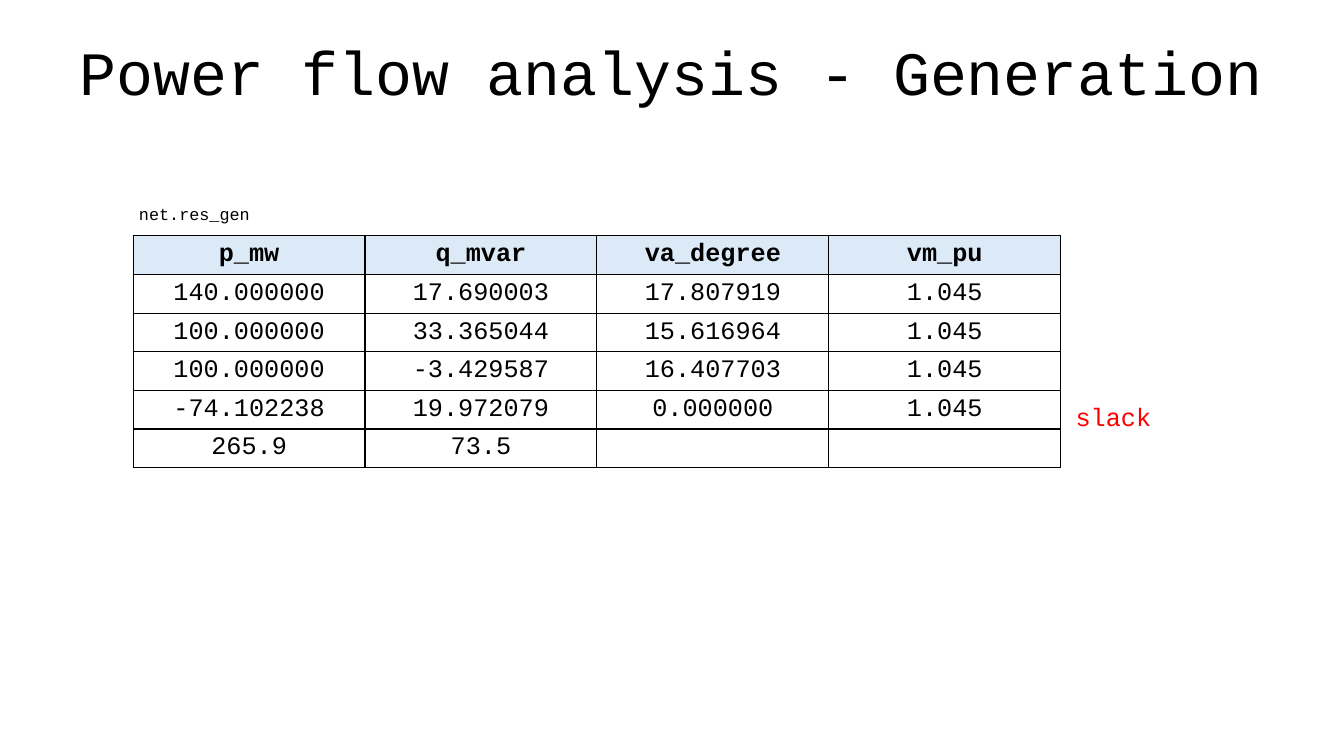
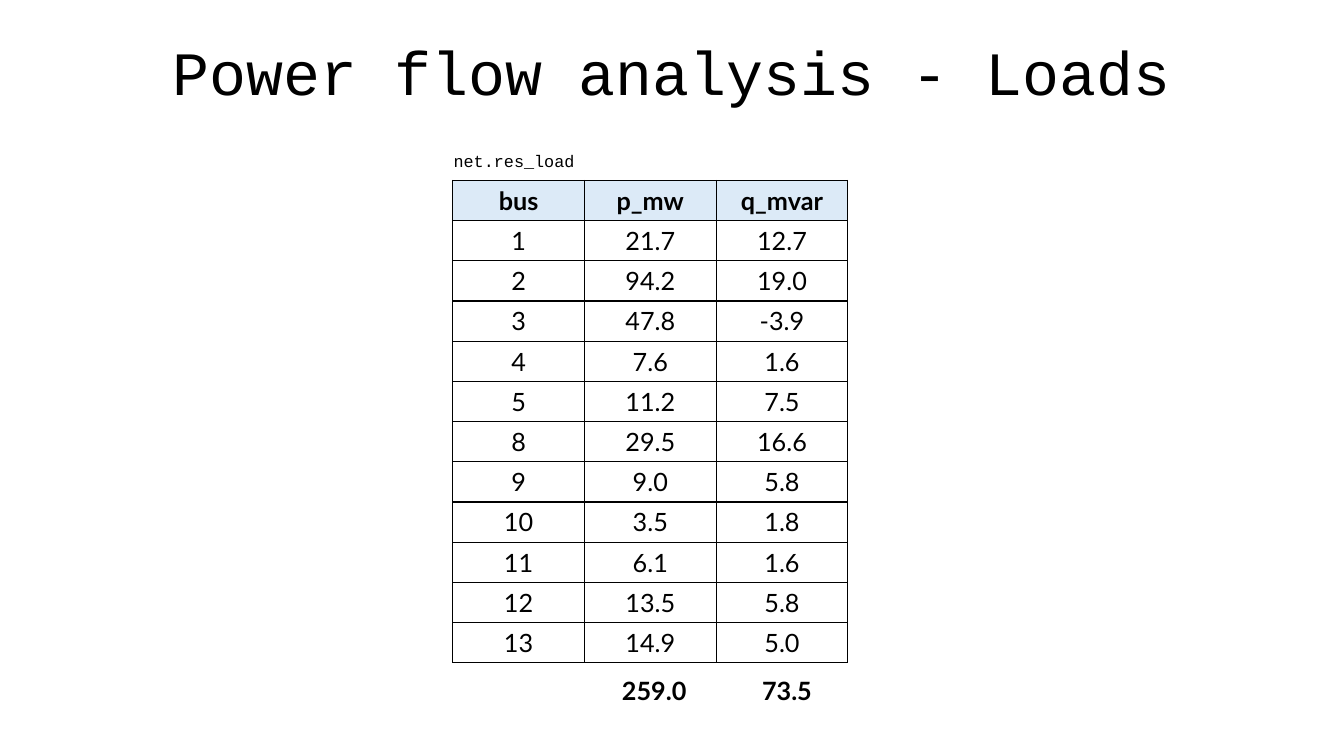
"""Builds two power flow result slides, each with a title, a table and notes."""
from lxml.etree import SubElement
from pptx import Presentation
from pptx.dml.color import RGBColor
from pptx.enum.text import MSO_ANCHOR as Anchor, MSO_AUTO_SIZE as AutoSize, PP_ALIGN as Align
from pptx.oxml.ns import qn
from pptx.util import Inches, Pt

MONO, SANS = "Courier New", "Lato"
BLACK, WHITE, RED, HEADER_BLUE = "000000", "FFFFFF", "FF0000", "DCEAF7"
TITLE_BOX = (0, 0.02, 13.33, 1.45)

SLIDES = [
    {
        "title": "Power flow analysis - Generation",
        "font": MONO,
        "table_box": (1.32, 2.34, 9.2, 2.3),
        "rows": [
            ("p_mw", "q_mvar", "va_degree", "vm_pu"),
            ("140.000000", "17.690003", "17.807919", "1.045"),
            ("100.000000", "33.365044", "15.616964", "1.045"),
            ("100.000000", "-3.429587", "16.407703", "1.045"),
            ("-74.102238", "19.972079", "0.000000", "1.045"),
            ("265.9", "73.5", "", ""),
        ],
        "notes": [
            {"text": "slack", "box": (10.57, 3.93, 0.96, 0.4), "size": 18, "font": MONO, "color": RED},
            {"text": "net.res_gen", "box": (1.28, 1.97, 4.78, 0.3), "size": 12, "font": MONO},
        ],
    },
    {
        "title": "Power flow analysis - Loads",
        "font": SANS,
        "table_box": (4.49, 1.79, 3.92, 4.79),
        "rows": [
            ("bus", "p_mw", "q_mvar"),
            ("1", "21.7", "12.7"),
            ("2", "94.2", "19.0"),
            ("3", "47.8", "-3.9"),
            ("4", "7.6", "1.6"),
            ("5", "11.2", "7.5"),
            ("8", "29.5", "16.6"),
            ("9", "9.0", "5.8"),
            ("10", "3.5", "1.8"),
            ("11", "6.1", "1.6"),
            ("12", "13.5", "5.8"),
            ("13", "14.9", "5.0"),
        ],
        "notes": [
            {"text": "259.0", "box": (6.07, 6.65, 0.92, 0.4), "size": 18, "font": SANS, "bold": True},
            {"text": "73.5", "box": (7.46, 6.65, 0.83, 0.4), "size": 18, "font": SANS, "bold": True},
            {"text": "net.res_load", "box": (4.4, 1.45, 4.78, 0.3), "size": 12, "font": MONO},
        ],
    },
]


def rgb(color):
    return RGBColor.from_string(color)


def inches(box):
    return [Inches(length) for length in box]


def add_run(paragraph, text, size, font, color=BLACK, bold=False):
    run = paragraph.add_run()
    run.text = text
    run.font.size = Pt(size)
    run.font.name = font
    run.font.bold = bold
    run.font.color.rgb = rgb(color)


def set_title(slide, text):
    title = slide.shapes.title
    title.left, title.top, title.width, title.height = inches(TITLE_BOX)
    frame = title.text_frame
    frame.auto_size = AutoSize.NONE
    frame.vertical_anchor = Anchor.MIDDLE
    paragraph = frame.paragraphs[0]
    paragraph.alignment = Align.CENTER
    paragraph.line_spacing = 0.9
    add_run(paragraph, text, 44, MONO)


def add_borders(cell):
    properties = cell._tc.get_or_add_tcPr()
    for side in ("a:lnL", "a:lnR", "a:lnT", "a:lnB"):
        line = SubElement(properties, qn(side), w=str(Pt(1)))
        fill = SubElement(line, qn("a:solidFill"))
        SubElement(fill, qn("a:srgbClr"), val=BLACK)


def fill_cell(cell, text, font, is_header):
    add_borders(cell)
    cell.fill.solid()
    cell.fill.fore_color.rgb = rgb(HEADER_BLUE if is_header else WHITE)
    cell.vertical_anchor = Anchor.MIDDLE
    cell.margin_top = cell.margin_bottom = 0
    if text:
        paragraph = cell.text_frame.paragraphs[0]
        paragraph.alignment = Align.CENTER
        add_run(paragraph, text, 18, font, bold=is_header)


def add_result_table(slide, rows, box, font):
    left, top, width, height = inches(box)
    table = slide.shapes.add_table(len(rows), len(rows[0]), left, top, width, height).table
    table.horz_banding = False
    for row_index, row in enumerate(rows):
        for column_index, text in enumerate(row):
            fill_cell(table.cell(row_index, column_index), text, font, row_index == 0)


def add_note(slide, text, box, **style):
    frame = slide.shapes.add_textbox(*inches(box)).text_frame
    frame.word_wrap = True
    add_run(frame.paragraphs[0], text, **style)


def main():
    presentation = Presentation()
    presentation.slide_width, presentation.slide_height = inches((13.33, 7.5))
    for content in SLIDES:
        slide = presentation.slides.add_slide(presentation.slide_layouts[5])
        set_title(slide, content["title"])
        add_result_table(slide, content["rows"], content["table_box"], content["font"])
        for note in content["notes"]:
            add_note(slide, **note)
    presentation.save("out.pptx")


if __name__ == "__main__":
    main()
